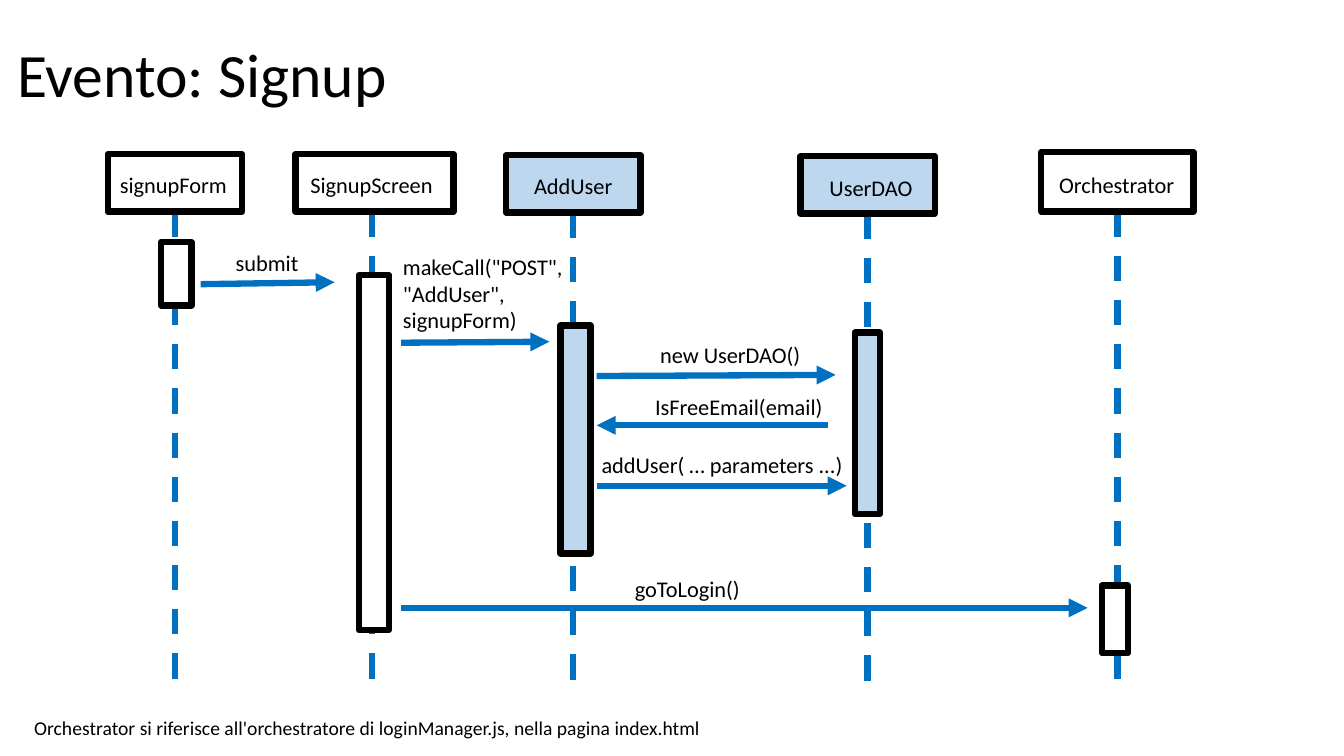
from lxml.etree import SubElement
from pptx import Presentation
from pptx.dml.color import RGBColor
from pptx.enum.dml import MSO_LINE
from pptx.enum.shapes import MSO_CONNECTOR, MSO_SHAPE
from pptx.enum.text import MSO_ANCHOR, MSO_AUTO_SIZE, PP_ALIGN
from pptx.oxml.ns import qn
from pptx.util import Pt

BLACK, WHITE, BLUE, PALE = "000000", "FFFFFF", "0070C0", "BDD7EE"
FONT = "Calibri"
STROKE = 4.5
LIFELINE_LENGTH = 341.3
LABEL_HEIGHT = 26.6

TITLE = "Evento: Signup"
FOOTNOTE = "Orchestrator si riferisce all'orchestratore di loginManager.js, nella pagina index.html"

# name, fill, header box, label (left, top, width), lifeline x, activation bar
PARTICIPANTS = [
    ("AddUser", PALE, (361.5, 110.9, 96, 41), (374.4, 119.5, 95), 409.7, (400.3, 232.6, 21.6, 162.7)),
    ("UserDAO", PALE, (571.7, 111.6, 96, 41), (585.4, 121, 87), 619.9, (610.6, 237.6, 18, 129.6)),
    ("signupForm", WHITE, (77, 110.2, 96, 41), (78.5, 118.8, 95), 124.7, (115.2, 172.8, 21.6, 45.4)),
    ("SignupScreen", WHITE, (211, 110.2, 113, 41), (214.6, 118.8, 113), 265.7, (256.3, 196.6, 21.6, 253.4)),
    ("Orchestrator", WHITE, (743.8, 108.7, 108.7, 42.5), (749.5, 118.8, 105), 797, (787, 418.3, 18.7, 48.2)),
]

# text, label (left, top, width), arrow start, arrow end
MESSAGES = [
    ("submit", (161.3, 174.2, 118), (143.3, 203), (239, 201.6)),
    ('makeCall("POST", "AddUser", signupForm)', (280.8, 177.1, 134.6), (286.6, 244.8), (392.4, 244.1)),
    ("new UserDAO()", (464.4, 240.5, 118), (426.2, 268.6), (596.9, 267.8)),
    ("IsFreeEmail(email)", (460.8, 277.2, 137.5), (591.8, 303.8), (426.2, 303.8)),
    ("addUser( … parameters\u00a0...)", (422.6, 319, 193), (426.2, 347), (604.8, 347)),
    ("goToLogin()", (446.4, 407.5, 118), (286.6, 434.2), (776.9, 434.2)),
]


def color(value):
    return RGBColor.from_string(value)


def style_text(frame, size):
    frame.word_wrap = True
    for paragraph in frame.paragraphs:
        for run in paragraph.runs:
            run.font.name = FONT
            run.font.size = Pt(size)
            run.font.color.rgb = color(BLACK)


def add_label(page, text, left, top, width, size=16):
    box = page.shapes.add_textbox(Pt(left), Pt(top), Pt(width), Pt(LABEL_HEIGHT))
    box.text_frame.text = text
    style_text(box.text_frame, size)


def add_box(page, bounds, fill):
    box = page.shapes.add_shape(MSO_SHAPE.RECTANGLE, *map(Pt, bounds))
    box.shadow.inherit = False
    box.fill.solid()
    box.fill.fore_color.rgb = color(fill)
    box.line.color.rgb = color(BLACK)
    box.line.width = Pt(STROKE)
    return box


def add_line(page, start, end):
    line = page.shapes.add_connector(MSO_CONNECTOR.STRAIGHT, *map(Pt, start + end))
    line.line.color.rgb = color(BLUE)
    line.line.width = Pt(STROKE)
    SubElement(line._element.spPr, qn("a:effectLst"))
    return line


def add_participant(page, name, fill, header, label, axis, bar):
    left, top, width, height = header
    centre, bottom = left + width / 2, top + height
    is_centred = abs(axis - centre) < 1.5
    x = centre if is_centred else axis
    lifeline = add_line(page, (x, bottom), (x, bottom + LIFELINE_LENGTH))
    lifeline.line.dash_style = MSO_LINE.DASH
    header_box = add_box(page, header, fill)
    if is_centred:
        lifeline.begin_connect(header_box, 2)
    add_label(page, name, *label)
    add_box(page, bar, fill)


def add_message(page, text, label, start, end):
    arrow = add_line(page, start, end)
    SubElement(arrow.line._get_or_add_ln(), qn("a:tailEnd"), type="triangle")
    add_label(page, text, *label)


def main():
    deck = Presentation()
    deck.slide_width, deck.slide_height = Pt(960), Pt(540)
    page = deck.slides.add_slide(deck.slide_layouts[5])

    title = page.shapes.title
    title.left, title.top, title.width, title.height = map(Pt, (5, 2.9, 869.8, 104.4))
    frame = title.text_frame
    frame.text = TITLE
    frame.auto_size = MSO_AUTO_SIZE.NONE
    frame.vertical_anchor = MSO_ANCHOR.MIDDLE
    frame.paragraphs[0].alignment = PP_ALIGN.LEFT
    frame.paragraphs[0].line_spacing = 0.9
    style_text(frame, 44)

    for participant in PARTICIPANTS:
        add_participant(page, *participant)
    for message in MESSAGES:
        add_message(page, *message)
    add_label(page, FOOTNOTE, 17.3, 507.6, 506, size=14)
    deck.save("out.pptx")


if __name__ == "__main__":
    main()
